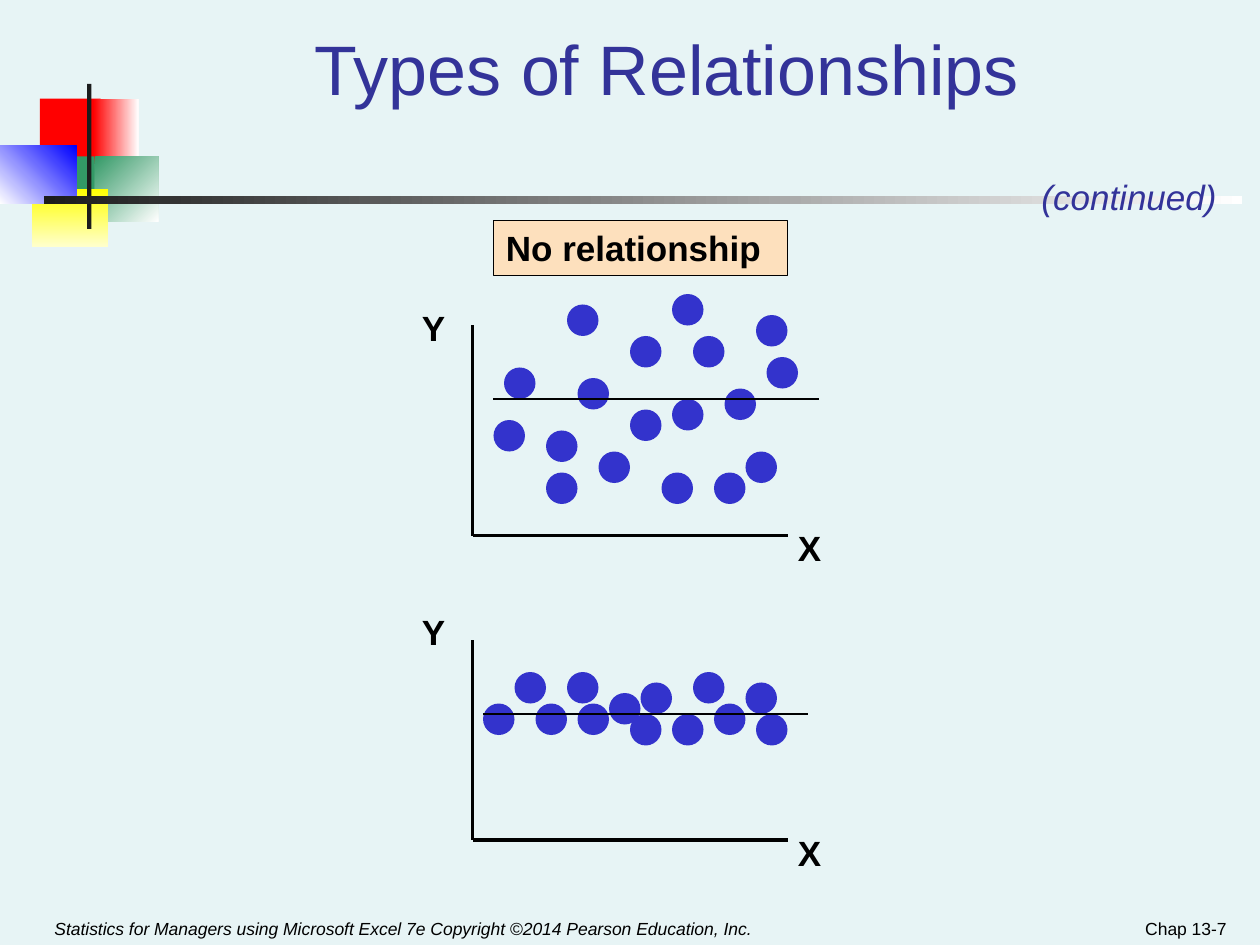
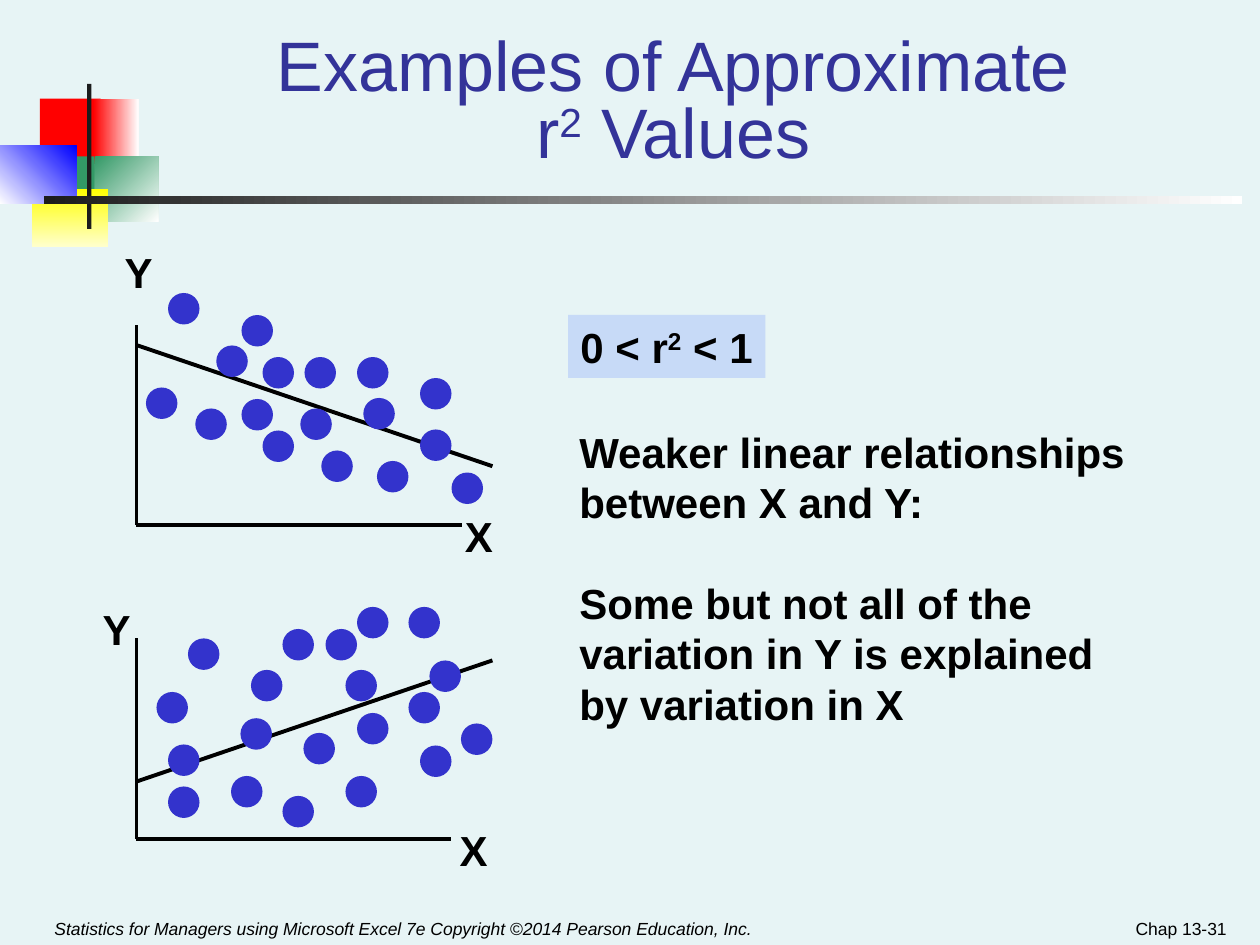
"""Build two statistics slides with scatter sketches on a grid of 120 columns by 90 rows."""
from dataclasses import dataclass
from typing import NamedTuple

from lxml import etree
from pptx import Presentation
from pptx import util as u
from pptx.dml.color import RGBColor
from pptx.enum import shapes, text
from pptx.oxml.ns import qn

WIDTH, HEIGHT = u.Inches(10), u.Inches(7.5)
COLUMNS, ROWS = 120, 90
FONT = "Arial"
INK, NAVY, DOT_BLUE, PAPER = "000000", "333399", "3333CC", "E7F4F5"
DOT_SIZE = 3

TITLE = {"size": u.Pt(40), "bold": False}
LABEL = {"size": u.Pt(20), "bold": True}
BODY = {"size": u.Pt(24), "bold": True}
CONTINUED = {"size": u.Pt(20), "italic": True}
COPYRIGHT = {"size": u.Pt(10), "italic": True}
PAGE_NUMBER = {"size": u.Pt(10)}


class Cells(NamedTuple):
    left: float
    top: float
    width: float
    height: float


class Point(NamedTuple):
    column: float
    row: float


class Block(NamedTuple):
    cells: Cells
    colours: tuple
    angle: float = 0


@dataclass
class Plot:
    corner: Point
    axis_top: float
    axis_right: float
    y_label: Point
    x_label: Point
    label_style: dict
    trend: tuple
    trend_width: float
    trend_in_front: bool
    dots: list


BLOCKS = [
    Block(Cells(3.8, 9.4, 5.8, 6.2), ("FF0000",)),
    Block(Cells(8.9, 9.4, 4.3, 6.2), ("FF0000", "FFFFFF")),
    Block(Cells(9, 14.9, 6.1, 6.2), ("339966", "FFFFFF"), 315),
    Block(Cells(5.2, 14.9, 3.8, 6.2), ("339966",)),
    Block(Cells(3, 18, 7.3, 5.5), ("FFFF00", "FFFFCC"), 270),
    Block(Cells(0, 13.9, 7.3, 5.5), ("FFFFFF", "0000FF"), 45),
    Block(Cells(8.3, 8, 0.4, 13.8), ("1C1C1C",)),
    Block(Cells(4.2, 18.7, 114.1, 0.7), ("1C1C1C", "FFFFFF")),
]

NO_RELATIONSHIP = [
    Plot(Point(45, 80), 61, 75, Point(39, 57.6), Point(74.8, 78.6), LABEL,
         (Point(46, 68), Point(77, 68)), 1.5, True,
         [(72, 68), (51, 67), (71, 65), (54, 64), (66, 64), (68, 67), (58, 66),
          (46, 67), (49, 64), (55, 67), (64, 68), (61, 65), (60, 68)]),
    Plot(Point(45, 51), 31, 75, Point(39, 28.6), Point(74.8, 49.6), LABEL,
         (Point(47, 38), Point(78, 38)), 1.5, True,
         [(64, 28), (47, 40), (71, 43), (73, 34), (52, 45), (54, 29), (64, 38),
          (66, 32), (72, 30), (60, 32), (52, 41), (55, 36), (68, 45), (60, 39),
          (57, 43), (48, 35), (63, 45), (69, 37)]),
]

WEAKER_RELATIONSHIPS = [
    Plot(Point(13, 50), 31, 44, Point(10.7, 22.9), Point(43.1, 48), BODY,
         (Point(46.9, 44.4), Point(13.1, 32.9)), 2.25, False,
         [(43, 45), (40, 40.9), (16, 27.9), (20.6, 32.9), (35.9, 43.9), (13.9, 36.9),
          (30.6, 42.9), (23, 30), (34, 34), (40, 36), (18.6, 38.9), (29, 34),
          (23, 38), (28.6, 38.9), (34.6, 37.9), (25, 34), (25, 41)]),
    Plot(Point(13, 79.9), 60.8, 43, Point(8.6, 56.9), Point(42.6, 77.9), BODY,
         (Point(13.1, 74.4), Point(46.9, 62.9)), 2.25, False,
         [(16, 74.9), (16, 70.9), (38.9, 57.8), (40.9, 62.9), (22, 73.9), (38.9, 65.9),
          (32.9, 73.9), (34, 57.8), (26.9, 59.9), (14.9, 65.9), (17.9, 60.8),
          (22.9, 68.4), (34, 67.9), (28.9, 69.8), (26.9, 75.8), (43.9, 68.9),
          (32.9, 63.8), (31, 59.9), (23.9, 63.8), (40, 71)]),
]


def colour(code: str) -> RGBColor:
    return RGBColor.from_string(code)


def across(columns: float) -> int:
    return round(WIDTH * columns / COLUMNS)


def down(rows: float) -> int:
    return round(HEIGHT * rows / ROWS)


def place(cells: Cells) -> tuple:
    return across(cells.left), down(cells.top), across(cells.width), down(cells.height)


def write(para, line: str, style: dict, code: str) -> None:
    for index, part in enumerate(line.split("^")):
        for row, words in enumerate(part.split("\n")):
            if row:
                para.add_line_break()
            span = para.add_run()
            span.text = words
            for name, value in {"name": FONT, **style}.items():
                setattr(span.font, name, value)
            span.font.color.rgb = colour(code)
            if index % 2:
                span.font._element.set("baseline", "30000")


def fill_text(box, lines: list, style: dict, code: str = INK, wrap: bool = True,
              gap: float = 0, **frame_format) -> None:
    frame = box.text_frame
    settings = {"word_wrap": wrap, "auto_size": text.MSO_AUTO_SIZE.NONE,
                "vertical_anchor": text.MSO_ANCHOR.TOP, **frame_format}
    for name, value in settings.items():
        setattr(frame, name, value)
    for index, line in enumerate(lines):
        para = frame.add_paragraph() if index else frame.paragraphs[0]
        para.alignment = text.PP_ALIGN.LEFT
        if index:
            para.space_before = u.Pt(gap)
        write(para, line, style, code)


def add_text(page, cells: Cells, lines: list, style: dict, **options):
    box = page.shapes.add_textbox(*place(cells))
    fill_text(box, lines, style, **options)
    return box


def add_block(page, cells: Cells, colours: tuple, angle: float = 0,
              kind=shapes.MSO_SHAPE.RECTANGLE, outline: str = ""):
    block = page.shapes.add_shape(kind, *place(cells))
    block.shadow.inherit = False
    if len(colours) == 1:
        block.fill.solid()
        block.fill.fore_color.rgb = colour(colours[0])
    else:
        block.fill.gradient()
        block.fill.gradient_angle = angle
        for stop, code in zip(block.fill.gradient_stops, colours):
            stop.color.rgb = colour(code)
    if outline:
        block.line.color.rgb = colour(outline)
        block.line.width = u.Pt(1)
    else:
        block.line.fill.background()
    return block


def add_line(page, start: Point, end: Point, width: float) -> None:
    line = page.shapes.add_connector(
        shapes.MSO_CONNECTOR.STRAIGHT, across(start.column), down(start.row),
        across(end.column), down(end.row))
    line.line.color.rgb = colour(INK)
    line.line.width = u.Pt(width)
    etree.SubElement(line._element.spPr, qn("a:effectLst"))


def add_plot(page, plot: Plot) -> None:
    add_line(page, Point(plot.corner.column, plot.axis_top), plot.corner, 2)
    add_line(page, plot.corner, Point(plot.axis_right, plot.corner.row), 2)
    if not plot.trend_in_front:
        add_line(page, *plot.trend, plot.trend_width)
    for dot in plot.dots:
        add_block(page, Cells(*dot, DOT_SIZE, DOT_SIZE), (DOT_BLUE,),
                  kind=shapes.MSO_SHAPE.OVAL)
    if plot.trend_in_front:
        add_line(page, *plot.trend, plot.trend_width)
    size = (4.6, 5.3) if plot.label_style is LABEL else (5, 6)
    for name, spot in (("Y", plot.y_label), ("X", plot.x_label)):
        add_text(page, Cells(*spot, *size), [name], plot.label_style, wrap=False)


def add_page(deck, title: str, title_cells: Cells, number: str, spacing: float = 1):
    page = deck.slides.add_slide(deck.slide_layouts[5])
    for block in BLOCKS:
        add_block(page, *block)
    bottom = text.MSO_ANCHOR.BOTTOM
    add_text(page, Cells(4, 85, 70, 5),
             ["Statistics for Managers using Microsoft Excel 7e Copyright ©2014 "
              "Pearson Education, Inc."], COPYRIGHT, vertical_anchor=bottom)
    footer = add_text(page, Cells(90, 85.8, 28, 4.2), [f"Chap {number}"], PAGE_NUMBER,
                      vertical_anchor=bottom)
    footer.text_frame.paragraphs[0].alignment = text.PP_ALIGN.RIGHT
    heading = page.shapes.title
    heading.left, heading.top, heading.width, heading.height = place(title_cells)
    fill_text(heading, [title], TITLE, NAVY, vertical_anchor=bottom)
    para = heading.text_frame.paragraphs[0]
    para.alignment = text.PP_ALIGN.CENTER
    para.line_spacing = spacing
    return page


def build_types(deck) -> None:
    page = add_page(deck, "Types of Relationships", Cells(15.1, -2, 96.8, 13), "13-7")
    for plot in NO_RELATIONSHIP:
        add_plot(page, plot)
    caption = add_block(page, Cells(47, 21, 28, 5.25), ("FDE0BD",), outline=INK)
    fill_text(caption, ["No relationship"], LABEL)
    add_text(page, Cells(98, 16.1, 19.1, 5.3), ["(continued)"], CONTINUED,
             code=NAVY, wrap=False)


def build_examples(deck) -> None:
    page = add_page(deck, "Examples of Approximate\nr^2^ Values",
                    Cells(13, 4, 102.2, 13), "13-31", 0.8)
    for plot in WEAKER_RELATIONSHIPS:
        add_plot(page, plot)
    range_box = add_block(page, Cells(54.1, 30, 18.8, 6), ("C7DAF7",))
    fill_text(range_box, ["0 < r^2^ < 1"], BODY, wrap=False)
    add_text(page, Cells(54, 40, 55, 30),
             ["Weaker linear relationships between X and Y:",
              "Some but not all of the variation in Y is explained by variation in X"],
             BODY, gap=28.8)


def main() -> None:
    deck = Presentation()
    deck.slide_width, deck.slide_height = WIDTH, HEIGHT
    backdrop = deck.slide_master.background.fill
    backdrop.solid()
    backdrop.fore_color.rgb = colour(PAPER)
    build_types(deck)
    build_examples(deck)
    deck.save("out.pptx")


if __name__ == "__main__":
    main()
